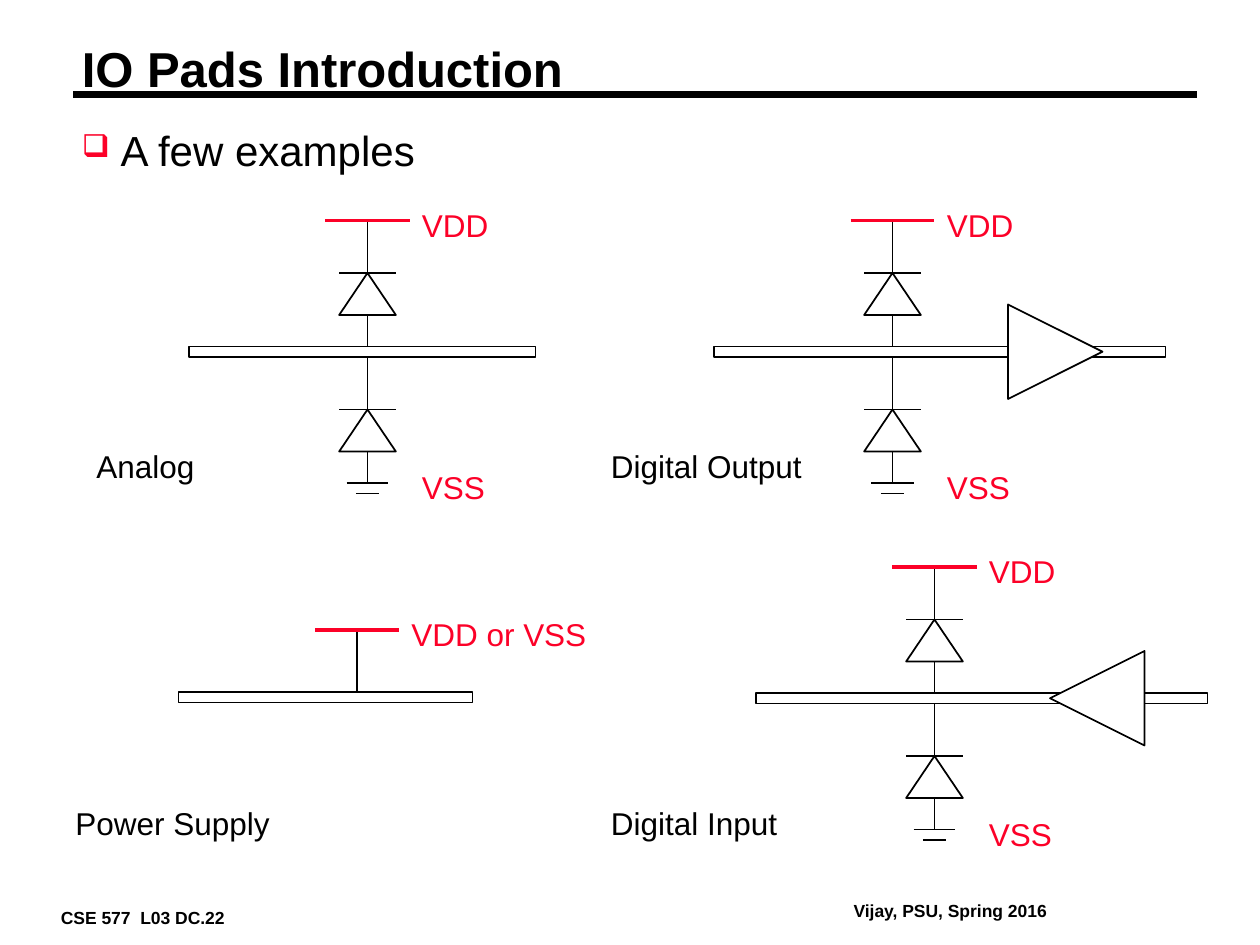
from dataclasses import dataclass

from lxml import etree
from pptx import Presentation
from pptx.dml.color import RGBColor
from pptx.enum.shapes import MSO_CONNECTOR, MSO_SHAPE
from pptx.enum.text import MSO_AUTO_SIZE
from pptx.oxml.ns import qn
from pptx.util import Emu, Pt

PX = 7620  # EMU per px, 120 px to the inch
BLACK = RGBColor(0x00, 0x00, 0x00)
WHITE = RGBColor(0xFF, 0xFF, 0xFF)
RED = RGBColor(0xFC, 0x01, 0x28)
FONT = "Arial"
STRAIGHT = MSO_CONNECTOR.STRAIGHT
RECT = MSO_SHAPE.RECTANGLE
TRIANGLE = MSO_SHAPE.ISOSCELES_TRIANGLE
FIT_SHAPE = MSO_AUTO_SIZE.SHAPE_TO_FIT_TEXT

AXIS = 170  # distance from the rail's left end to the supply line
RAIL_H = 10
BUFFER = 90
BUFFER_DX = 280


@dataclass(frozen=True)
class Pad:
    x: int  # left end of the rail
    y: int  # top of the rail
    width: int
    buffer_rotation: int | None = None


@dataclass(frozen=True)
class Label:
    text: str
    x: int
    y: int
    width: int


PADS = [
    Pad(180, 330, 330),
    Pad(680, 330, 430, buffer_rotation=90),
    Pad(720, 660, 430, buffer_rotation=270),
]
POWER_PAD = Pad(170, 659, 280)
CAPTIONS = [
    Label("Analog", 80, 420, 119),
    Label("Digital Output", 570, 420, 208),
    Label("Power Supply", 60, 760, 211),
    Label("Digital Input", 570, 760, 184),
]
FOOTERS = [
    Label("CSE 577  L03 DC.22", 50, 860, 176),
    Label("Vijay, PSU, Spring 2016", 805, 853, 204),
]


def px(n: int) -> Emu:
    return Emu(n * PX)


def add_text(shapes, text: str, x: int, y: int, w: int, h: int = 48, *,
             size: int = 18, color: RGBColor = BLACK, bold: bool = False,
             wrap: bool = False, inset: tuple[int, int] = (12, 6),
             spacing: float | None = None):
    tf = shapes.add_textbox(px(x), px(y), px(w), px(h)).text_frame
    tf.word_wrap = wrap
    tf.auto_size = FIT_SHAPE
    tf.margin_left = tf.margin_right = px(inset[0])
    tf.margin_top = tf.margin_bottom = px(inset[1])
    p = tf.paragraphs[0]
    if spacing:
        p.line_spacing = spacing
    r = p.add_run()
    r.text = text
    r.font.name = FONT
    r.font.size = Pt(size)
    r.font.bold = bold
    r.font.color.rgb = color
    return p


def add_bullet(p, char: str, color: RGBColor, percent: int, indent: int) -> None:
    pPr = p._p.get_or_add_pPr()
    pPr.set("marL", str(px(indent)))
    pPr.set("indent", str(px(-indent)))
    clr = etree.SubElement(pPr, qn("a:buClr"))
    etree.SubElement(clr, qn("a:srgbClr"), val=str(color))
    etree.SubElement(pPr, qn("a:buSzPct"), val=str(percent * 1000))
    etree.SubElement(pPr, qn("a:buChar"), char=char)


def add_line(shapes, x1: int, y1: int, x2: int, y2: int,
             color: RGBColor = BLACK, width: float = 1) -> None:
    c = shapes.add_connector(STRAIGHT, px(x1), px(y1), px(x2), px(y2))
    c.line.color.rgb = color
    c.line.width = Pt(width)
    etree.SubElement(c._element.spPr, qn("a:effectLst"))


def add_outline(shapes, kind, x: int, y: int, w: int, h: int,
                fill: RGBColor | None = WHITE, rotation: int = 0) -> None:
    sp = shapes.add_shape(kind, px(x), px(y), px(w), px(h))
    sp.shadow.inherit = False
    if fill is None:
        sp.fill.background()
    else:
        sp.fill.solid()
        sp.fill.fore_color.rgb = fill
    sp.line.color.rgb = BLACK
    sp.line.width = Pt(1)
    sp.rotation = rotation


def add_bar(shapes, cx: int, y: int, half: int, **style) -> None:
    add_line(shapes, cx - half, y, cx + half, y, **style)


def add_rail(shapes, pad: Pad) -> None:
    add_outline(shapes, RECT, pad.x, pad.y, pad.width, RAIL_H, fill=None)


def add_supply(shapes, cx: int, y: int, text: str, width: int) -> None:
    add_bar(shapes, cx, y, 40, color=RED, width=2.25)
    add_text(shapes, text, cx + 40, y - 20, width, color=RED)


def add_diode(shapes, cx: int, line_top: int, bar_y: int) -> None:
    add_line(shapes, cx, line_top, cx, line_top + 120)
    add_bar(shapes, cx, bar_y, 27)
    add_outline(shapes, TRIANGLE, cx - 27, bar_y, 54, 40)


def draw_pad(slide, pad: Pad) -> None:
    shapes = slide.shapes.add_group_shape().shapes
    cx, y = pad.x + AXIS, pad.y
    add_rail(shapes, pad)
    add_diode(shapes, cx, y - 120, y - 70)
    add_diode(shapes, cx, y + RAIL_H, y + 60)
    add_supply(shapes, cx, y - 120, "VDD", 88)
    # Ground
    add_bar(shapes, cx, y + 130, 20)
    add_bar(shapes, cx, y + 140, 11)
    add_text(shapes, "VSS", cx + 40, y + 110, 85, color=RED)
    if pad.buffer_rotation is not None:
        add_outline(shapes, TRIANGLE, pad.x + BUFFER_DX, y - 40, BUFFER, BUFFER,
                    rotation=pad.buffer_rotation)


def draw_power_pad(slide, pad: Pad) -> None:
    shapes = slide.shapes.add_group_shape().shapes
    cx = pad.x + AXIS
    add_rail(shapes, pad)
    add_line(shapes, cx, pad.y - 60, cx, pad.y)
    add_supply(shapes, cx, pad.y - 59, "VDD or VSS", 192)


def main() -> None:
    prs = Presentation()
    prs.slide_width, prs.slide_height = px(1200), px(900)
    s = prs.slides.add_slide(prs.slide_layouts[6])

    # Footers, title and bullet
    for f in FOOTERS:
        add_text(s.shapes, f.text, f.x, f.y, f.width, 26, size=10, bold=True,
                 inset=(8, 4))
    add_line(s.shapes, 70, 90, 1140, 90, width=4.5)
    add_text(s.shapes, "IO Pads Introduction", 70, 40, 1070, 55, size=28,
             bold=True, wrap=True, inset=(8, 4), spacing=0.87)
    p = add_text(s.shapes, "A few examples", 70, 120, 1070, 50, size=24,
                 wrap=True, inset=(8, 4), spacing=0.9)
    add_bullet(p, "❑", RED, percent=75, indent=37)

    # Circuits and their captions
    for pad in PADS:
        draw_pad(s, pad)
    draw_power_pad(s, POWER_PAD)
    for c in CAPTIONS:
        add_text(s.shapes, c.text, c.x, c.y, c.width)

    prs.save("out.pptx")


if __name__ == "__main__":
    main()
